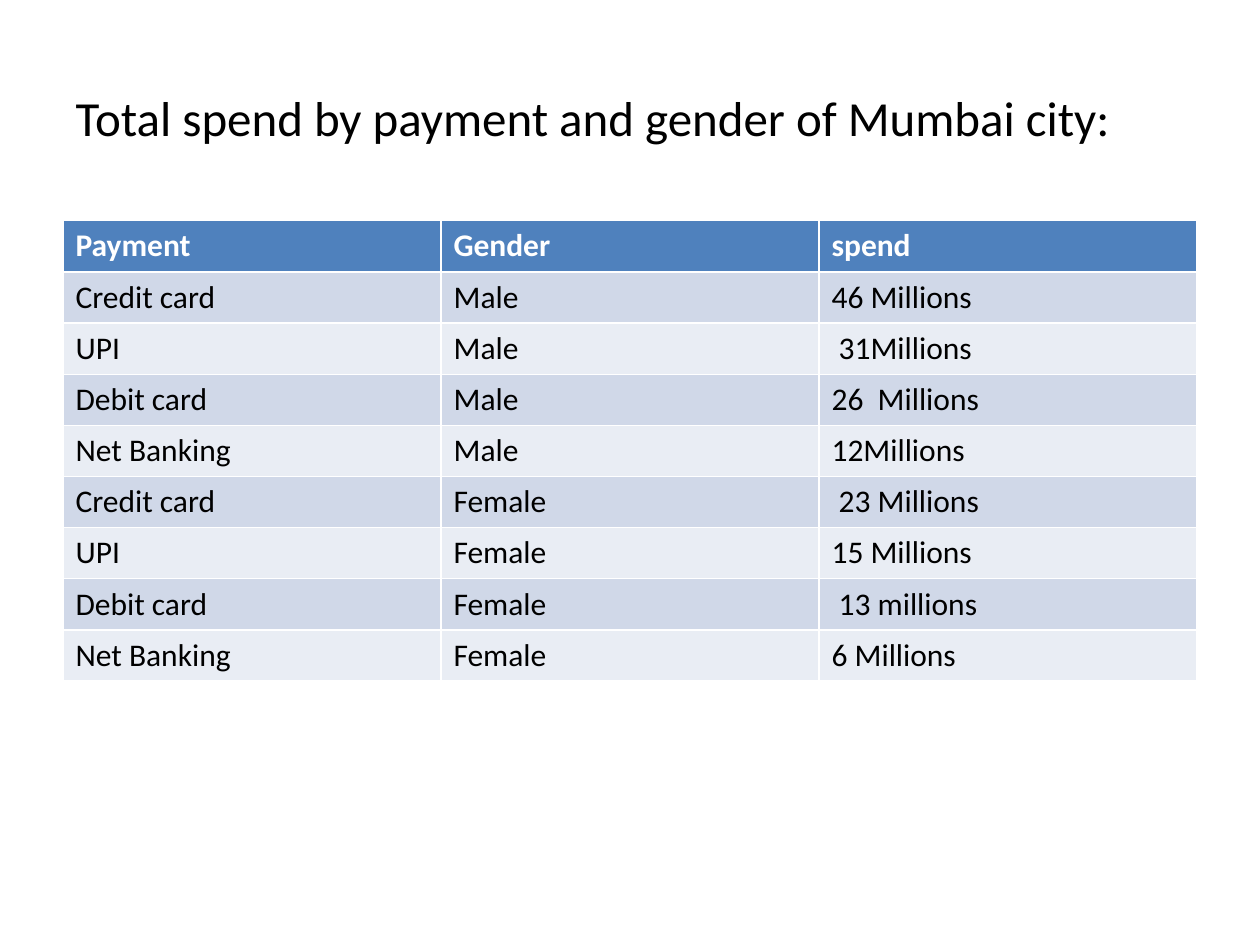
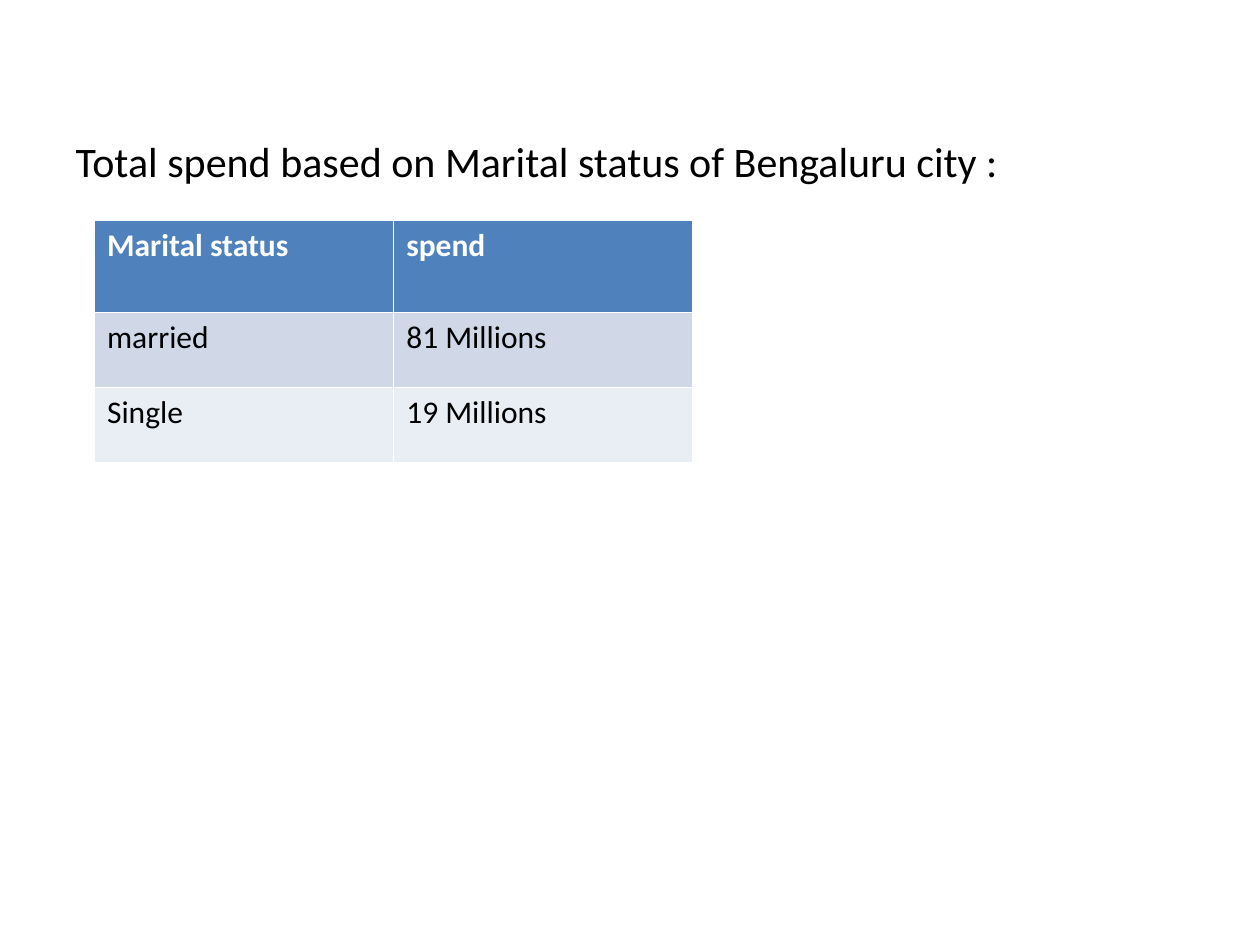
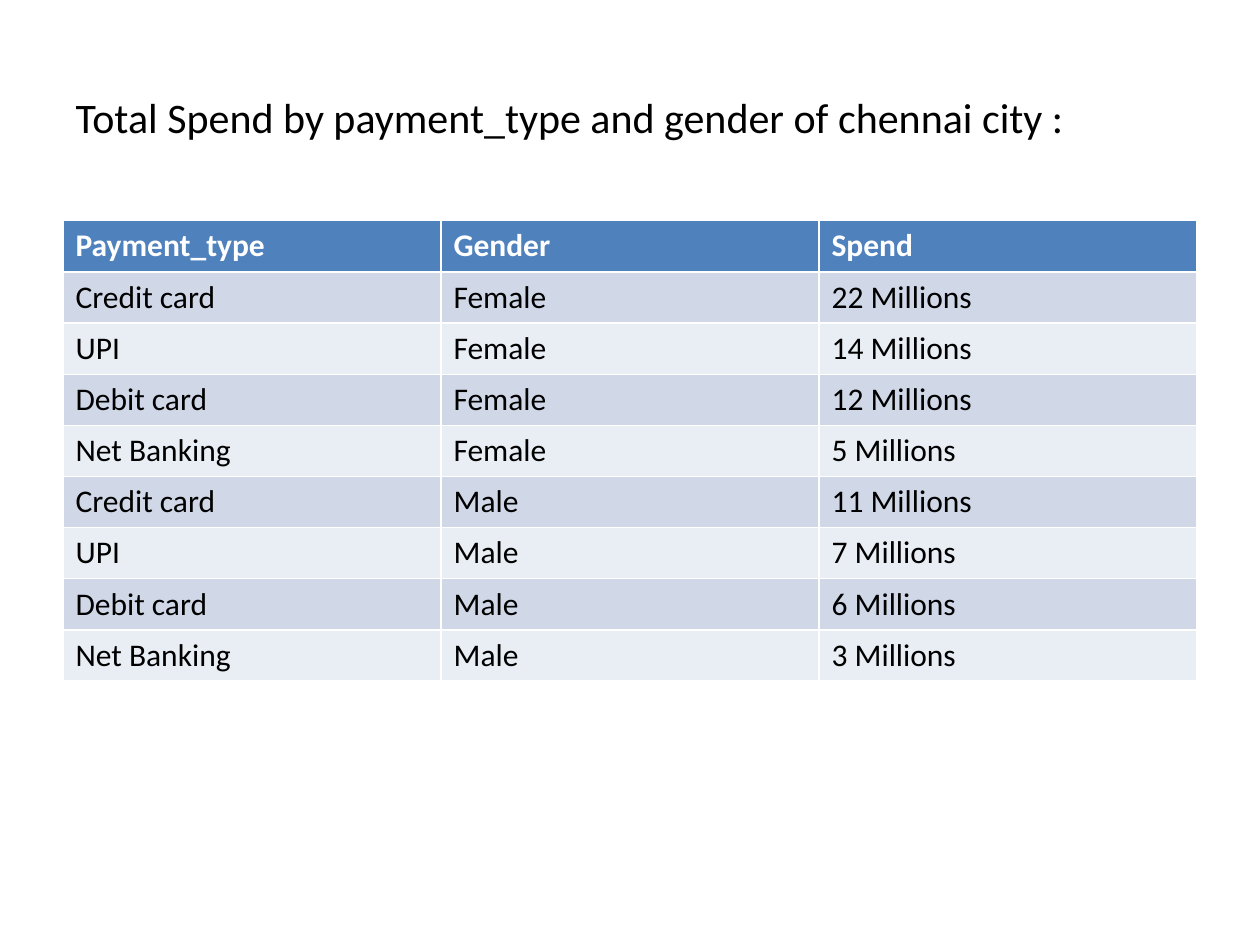
from pptx import Presentation
from pptx.dml.color import RGBColor
from pptx.enum import text
from pptx.util import Inches, Pt

FONT = "Calibri"
BLACK = RGBColor(0x00, 0x00, 0x00)
WHITE = RGBColor(0xFF, 0xFF, 0xFF)
HEADER_BLUE = RGBColor(0x4F, 0x81, 0xBD)
BANDS = (RGBColor(0xE9, 0xED, 0xF4), RGBColor(0xD0, 0xD8, 0xE8))

WIDE_TABLE = (0.5, 1.75, 9, 3.65)
TALL_TITLE = (0.5, 0.3, 9, 1.25)

SLIDES = [
    {
        "title": "Total spend by payment and gender of Mumbai city:",
        "title_size": 28,
        "title_box": TALL_TITLE,
        "table_box": WIDE_TABLE,
        "header_height": 0.41,
        "rows": [
            ("Payment", "Gender", "spend"),
            ("Credit card", "Male", "46 Millions"),
            ("UPI", "Male", " 31Millions"),
            ("Debit card", "Male", "26  Millions"),
            ("Net Banking", "Male", "12Millions"),
            ("Credit card", "Female", " 23 Millions"),
            ("UPI", "Female", "15 Millions"),
            ("Debit card", "Female", " 13 millions"),
            ("Net Banking", "Female", "6 Millions"),
        ],
    },
    {
        "title": "Total spend based on Marital status of Bengaluru city :",
        "title_size": 24,
        "title_box": (0.5, 1, 8.5, 0.55),
        "table_box": (0.75, 1.75, 4.75, 1.92),
        "header_height": 0.73,
        "rows": [
            ("Marital status", "spend"),
            ("married", "81 Millions"),
            ("Single", "19 Millions"),
        ],
    },
    {
        "title": "Total Spend by payment_type and gender of chennai city :",
        "title_size": 24,
        "title_box": TALL_TITLE,
        "table_box": WIDE_TABLE,
        "header_height": 0.41,
        "rows": [
            ("Payment_type", "Gender", "Spend"),
            ("Credit card", "Female", "22 Millions"),
            ("UPI", "Female", "14 Millions"),
            ("Debit card", "Female", "12 Millions"),
            ("Net Banking", "Female", "5 Millions"),
            ("Credit card", "Male", "11 Millions"),
            ("UPI", "Male", "7 Millions"),
            ("Debit card", "Male", "6 Millions"),
            ("Net Banking", "Male", "3 Millions"),
        ],
    },
]


def write(frame, words, size, color, bold=False):
    """Fill a text frame with one left-aligned, formatted paragraph."""
    paragraph = frame.paragraphs[0]
    paragraph.alignment = text.PP_ALIGN.LEFT
    run = paragraph.add_run()
    run.text = words
    run.font.color.rgb = color
    for name, value in {"name": FONT, "size": Pt(size), "bold": bold}.items():
        setattr(run.font, name, value)


presentation = Presentation()
presentation.slide_width = Inches(10)
presentation.slide_height = Inches(7.5)
title_only = presentation.slide_layouts[5]

for content in SLIDES:
    slide = presentation.slides.add_slide(title_only)

    title = slide.shapes.title
    for side, length in zip(("left", "top", "width", "height"), content["title_box"]):
        setattr(title, side, Inches(length))
    title.text_frame.auto_size = text.MSO_AUTO_SIZE.NONE
    title.text_frame.vertical_anchor = text.MSO_ANCHOR.MIDDLE
    write(title.text_frame, content["title"], content["title_size"], BLACK)

    rows = content["rows"]
    table_box = [Inches(length) for length in content["table_box"]]
    table = slide.shapes.add_table(len(rows), len(rows[0]), *table_box).table
    header_height = Inches(content["header_height"])
    body_height = (table_box[3] - header_height) // (len(rows) - 1)

    for row_index, row in enumerate(rows):
        is_header = row_index == 0
        table.rows[row_index].height = header_height if is_header else body_height
        for column_index, words in enumerate(row):
            cell = table.cell(row_index, column_index)
            cell.fill.solid()
            cell.fill.fore_color.rgb = HEADER_BLUE if is_header else BANDS[row_index % 2]
            write(cell.text_frame, words, 18, WHITE if is_header else BLACK, is_header)

presentation.save("out.pptx")
